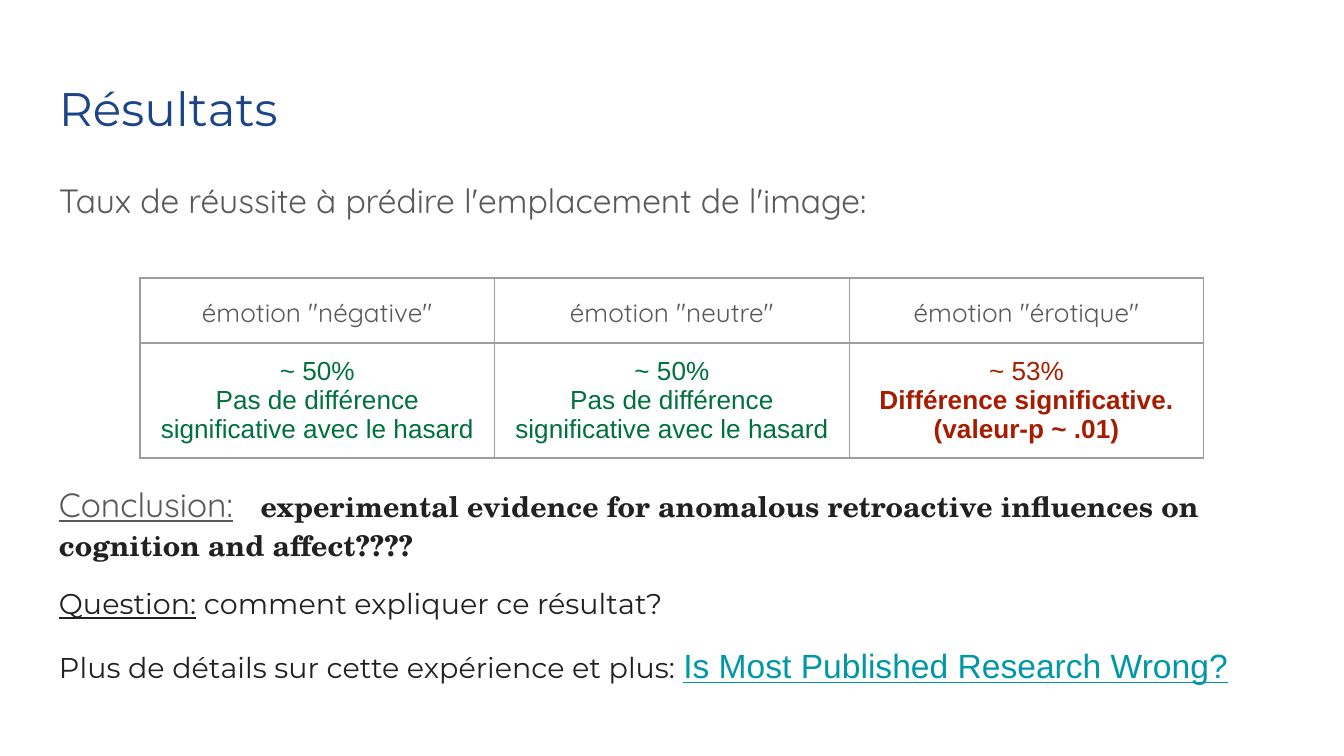
from lxml import etree
from pptx import Presentation, util as u
from pptx.dml.color import RGBColor
from pptx.enum import text
from pptx.oxml import ns

PX = 914400 / 134.4
INSET = 13
NAVY = RGBColor(0x1C, 0x45, 0x87)
GREY = RGBColor(0x59, 0x59, 0x59)
INK = RGBColor(0x21, 0x21, 0x21)
TEAL = RGBColor(0x00, 0x97, 0xA7)
GREEN = RGBColor(0x00, 0x70, 0x3C)
RED = RGBColor(0xA6, 0x1C, 0x00)
BORDER = RGBColor(0x9E, 0x9E, 0x9E)

TITLE = dict(name="Montserrat", size=u.Pt(25.2), color=NAVY)
LEAD = dict(name="Quicksand", size=u.Pt(18), color=GREY)
LABEL = dict(LEAD, underline=True)
GAP = dict(name="TeX Gyre Schola", size=u.Pt(23), color=INK, bold=True)
CLAIM = dict(GAP, size=u.Pt(15.3))
PLAIN = dict(name="Montserrat", size=u.Pt(15.3), color=INK)
ASK = dict(PLAIN, underline=True)
REFERENCE = dict(name="Arial", size=u.Pt(18), color=TEAL, underline=True)
HEAD = dict(name="Quicksand", size=u.Pt(14), color=GREY)
CHANCE = dict(name="Arial", size=u.Pt(14), color=GREEN)
EFFECT = dict(CHANCE, color=RED)
EFFECT_BOLD = dict(EFFECT, bold=True)

BODY = [
    (0, [("Taux de réussite à prédire l'emplacement de l'image:", LEAD)]),
    (135, [("Conclusion:", LABEL), ("\t", GAP),
           ("experimental evidence for anomalous retroactive influences on "
            "cognition and affect????", CLAIM)]),
    (12, [("Question:", ASK), (" comment expliquer ce résultat?", PLAIN)]),
    (12, [("Plus de détails sur cette expérience et plus: ", PLAIN),
          ("Is Most Published Research Wrong?", REFERENCE)]),
]
NO_EFFECT = [("~ 50%", CHANCE),
             ("Pas de différence significative avec le hasard", CHANCE)]
RESULTS = [
    ('émotion "négative"', NO_EFFECT),
    ('émotion "neutre"', NO_EFFECT),
    ('émotion "érotique"', [("~ 53%", EFFECT),
                            ("Différence significative.", EFFECT_BOLD),
                            ("(valeur-p ~ .01)", EFFECT_BOLD)]),
]


def px(n):
    return u.Emu(round(n * PX))


def set_values(obj, **values):
    for key, value in values.items():
        setattr(obj, key, value)


def add_run(p, words, style):
    r = p.add_run()
    r.text = words
    for key, value in style.items():
        if key == "color":
            r.font.color.rgb = value
        else:
            setattr(r.font, key, value)


def place(sp, box):
    set_values(sp, **dict(zip(("left", "top", "width", "height"), map(px, box))))
    tf = sp.text_frame
    set_values(tf, word_wrap=True, auto_size=text.MSO_AUTO_SIZE.NONE,
               vertical_anchor=text.MSO_ANCHOR.TOP,
               **{f"margin_{side}": px(INSET)
                  for side in ("left", "top", "right", "bottom")})
    return tf


def fill_title(sp, box):
    p = place(sp, box).paragraphs[0]
    p.alignment = text.PP_ALIGN.LEFT
    add_run(p, "Résultats", TITLE)


def fill_body(sp, box):
    tf = place(sp, box)
    for i, (before, runs) in enumerate(BODY):
        p = tf.add_paragraph() if i else tf.paragraphs[0]
        set_values(p, line_spacing=1.05, space_before=u.Pt(before),
                   space_after=u.Pt(0), alignment=text.PP_ALIGN.LEFT)
        props = p._p.get_or_add_pPr()
        props.set("marL", "0")
        props.set("indent", "0")
        etree.SubElement(props, ns.qn("a:buNone"))
        tabs = etree.SubElement(props, ns.qn("a:tabLst"))
        etree.SubElement(tabs, ns.qn("a:tab"), pos=str(px(196)), algn="l")
        for words, style in runs:
            add_run(p, words, style)


def add_borders(cell):
    props = cell._tc.get_or_add_tcPr()
    for side in ("L", "R", "T", "B"):
        line = etree.SubElement(props, ns.qn(f"a:ln{side}"), w=str(u.Pt(0.75)))
        fill = etree.SubElement(line, ns.qn("a:solidFill"))
        etree.SubElement(fill, ns.qn("a:srgbClr"), val=str(BORDER))


def fill_cell(cell, lines, spacing):
    add_borders(cell)
    cell.fill.background()
    set_values(cell, vertical_anchor=text.MSO_ANCHOR.MIDDLE,
               **{f"margin_{side}": px(INSET)
                  for side in ("left", "top", "right", "bottom")})
    tf = cell.text_frame
    for i, (words, style) in enumerate(lines):
        p = tf.add_paragraph() if i else tf.paragraphs[0]
        set_values(p, alignment=text.PP_ALIGN.CENTER, line_spacing=spacing)
        add_run(p, words, style)


def add_results(s, box, row_heights):
    table = s.shapes.add_table(2, len(RESULTS), *map(px, box)).table
    set_values(table, first_row=False, horz_banding=False)
    for row, height in zip(table.rows, row_heights):
        row.height = px(height)
    for i, (heading, outcome) in enumerate(RESULTS):
        table.columns[i].width = px(box[2] / len(RESULTS))
        fill_cell(table.cell(0, i), [(heading, HEAD)], 1.15)
        fill_cell(table.cell(1, i), outcome, 1.0)


def main():
    prs = Presentation()
    set_values(prs, slide_width=px(1344), slide_height=px(756))
    s = prs.slides.add_slide(prs.slide_layouts[1])
    fill_body(s.placeholders[1], (46, 165, 1253, 556))
    fill_title(s.shapes.title, (46, 66, 1253, 85))
    add_results(s, (140, 278, 1064, 180), (65, 115))
    prs.save("out.pptx")


if __name__ == "__main__":
    main()
